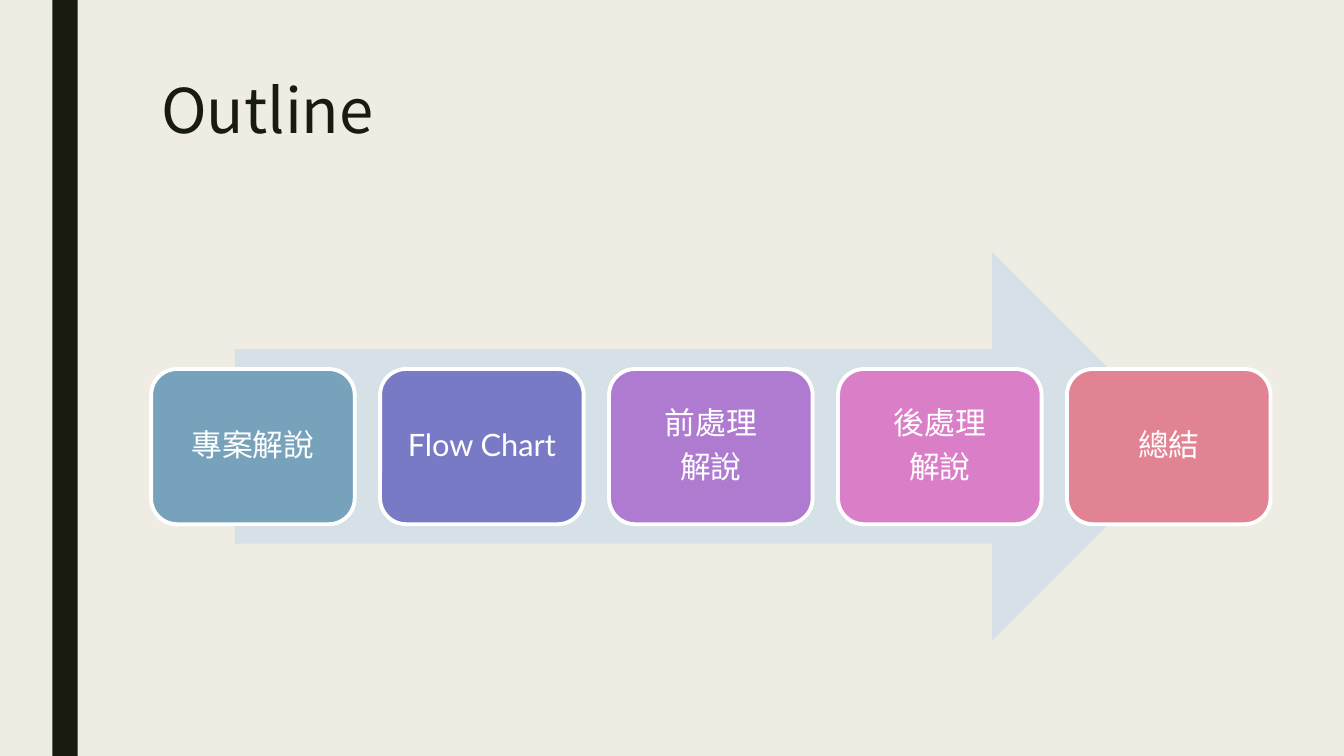
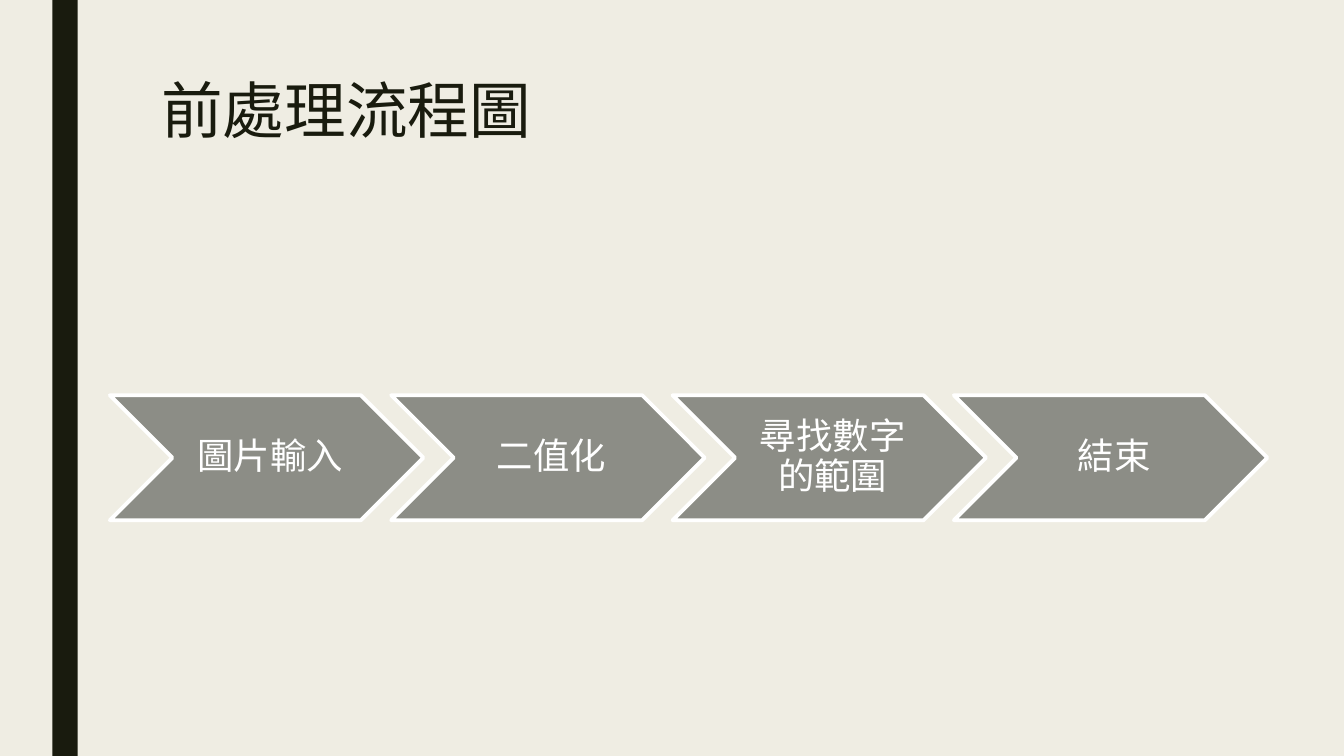
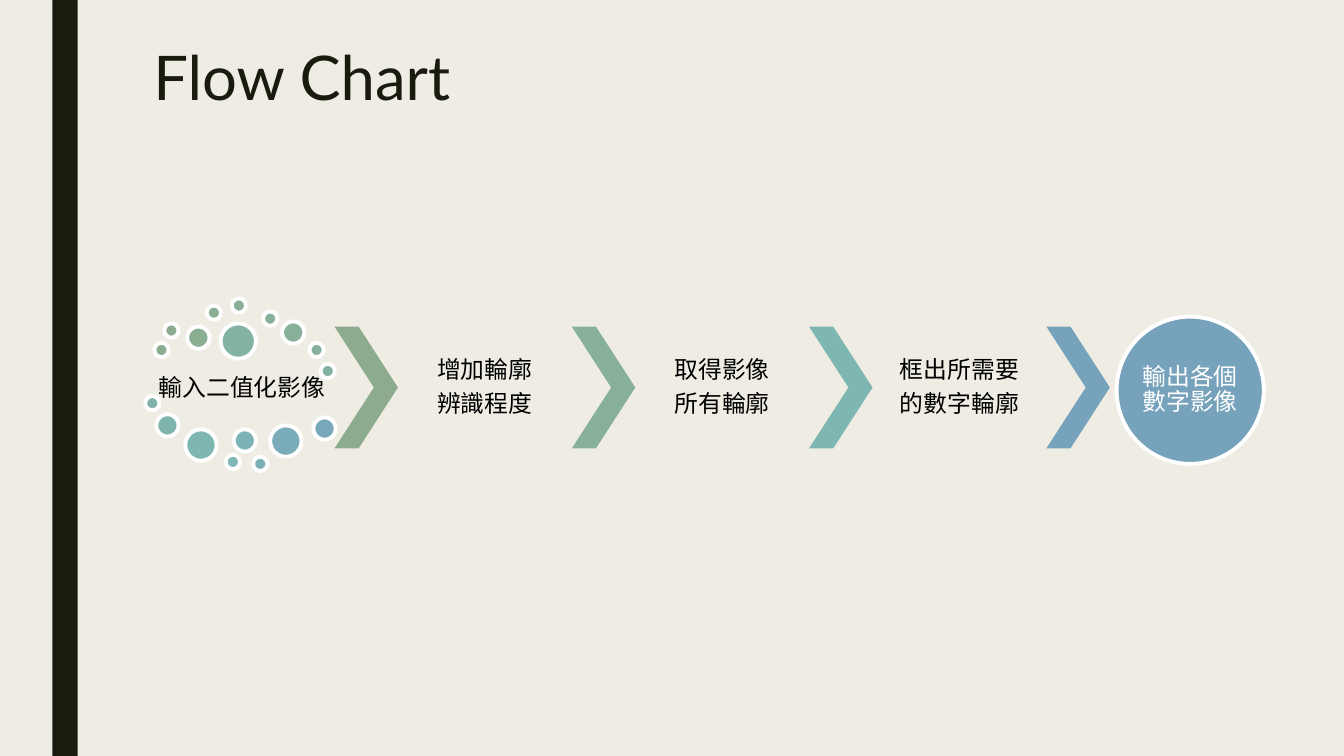
import pptx
import pptx.dml.color
import pptx.enum.shapes
import pptx.enum.text
import pptx.oxml.ns
import pptx.util
import lxml.etree
from dataclasses import dataclass

Cm = pptx.util.Cm
Pt = pptx.util.Pt
SHAPE = pptx.enum.shapes.MSO_SHAPE
ALIGN = pptx.enum.text.PP_ALIGN
ANCHOR = pptx.enum.text.MSO_ANCHOR


@dataclass(frozen=True)
class Theme:
    paper: str = "EFEDE3"
    ink: str = "191B0E"
    white: str = "FFFFFF"
    black: str = "000000"
    pale_blue: str = "D6E0E7"
    grey: str = "8C8D86"
    steel: str = "77A2BB"
    font: str = "Lato"
    cjk_font: str = "Noto Sans CJK SC"
    title_size: int = 44
    step_size: int = 26
    topic_size: int = 22
    label_size: int = 17
    outline: float = 2.75
    title_spacing: float = 0.89
    body_spacing: float = 0.9
    paragraph_gap: float = 0.35


THEME = Theme()

SLIDE_SIZE = (33.87, 19.05)
BAND = (1.32, 0, 0.64, 19.05)
TITLE_BOX = (3.81, 1.9, 26.67, 4.11)
FLOW_TITLE_BOX = (3.61, 1.09, 26.67, 4.11)

TOPICS = [
    (["專案解說"], THEME.steel),
    (["Flow Chart"], "797AC6"),
    (["前處理", "解說"], "AE7BD0"),
    (["後處理", "解說"], "DA7FC7"),
    (["總結"], "E28394"),
]

PREPROCESS_STEPS = ["圖片輸入", "二值化", "尋找數字的範圍", "結束"]

FLOW_INPUT = ["輸入二值化影像"]
FLOW_STAGES = [
    (["增加輪廓", "辨識程度"], "8DAB8E"),
    (["取得影像", "所有輪廓"], "86B09A"),
    (["框出所需要", "的數字輪廓"], "7EB6B1"),
    ([], THEME.steel),
]
FLOW_OUTPUT = ["輸出各個數字影像"]

DOT_SIZES = {"small": 0.36, "medium": 0.56, "large": 0.79, "largest": 0.89}
DOTS = [
    (3.89, 8.64, "small", "8DAB8E"),
    (4.14, 8.15, "small", "8CAC8F"),
    (4.72, 8.23, "medium", "8BAD91"),
    (5.21, 7.7, "small", "89AE93"),
    (5.84, 7.52, "small", "88AE95"),
    (6.63, 7.85, "small", "87AF97"),
    (7.11, 8.1, "medium", "86B09A"),
    (7.8, 8.64, "small", "85B19D"),
    (8.08, 9.17, "small", "83B2A1"),
    (5.56, 8.15, "largest", "82B3A4"),
    (3.66, 9.98, "small", "81B4A8"),
    (3.94, 10.44, "medium", "80B5AD"),
    (4.67, 10.82, "large", "7EB6B1"),
    (5.69, 11.46, "small", "7DB6B6"),
    (5.89, 10.82, "medium", "7CB3B7"),
    (6.38, 11.51, "small", "7BAFB8"),
    (6.81, 10.72, "large", "79ABB9"),
    (7.9, 10.52, "medium", "78A7BA"),
]


def rgb(color):
    return pptx.dml.color.RGBColor.from_string(color)


def write_run(paragraph, text, size, color, font):
    run = paragraph.add_run()
    run.text = text
    run.font.size = Pt(size)
    run.font.color.rgb = rgb(color)
    run.font.name = font
    east_asian = lxml.etree.SubElement(
        run._r.get_or_add_rPr(), pptx.oxml.ns.qn("a:ea"))
    east_asian.set("typeface", font)


def write_lines(frame, lines, size, color, insets):
    frame.word_wrap = True
    frame.vertical_anchor = ANCHOR.MIDDLE
    frame.margin_left, frame.margin_top, frame.margin_right, frame.margin_bottom = map(Cm, insets)
    for index, line in enumerate(lines):
        paragraph = frame.add_paragraph() if index else frame.paragraphs[0]
        paragraph.alignment = ALIGN.CENTER
        paragraph.line_spacing = THEME.body_spacing
        paragraph.space_after = Pt(round(THEME.paragraph_gap * size, 2))
        write_run(paragraph, line, size, color, THEME.font)


def add_figure(slide, kind, box, fill, outlined=False):
    figure = slide.shapes.add_shape(kind, *map(Cm, box))
    figure.shadow.inherit = False
    figure.fill.solid()
    figure.fill.fore_color.rgb = rgb(fill)
    if outlined:
        figure.line.color.rgb = rgb(THEME.white)
        figure.line.width = Pt(THEME.outline)
    else:
        figure.line.fill.background()
    return figure


def add_label(slide, box, lines):
    label = slide.shapes.add_textbox(*map(Cm, box))
    write_lines(label.text_frame, lines, THEME.label_size, THEME.black, (0.05,) * 4)


def start_deck():
    deck = pptx.Presentation()
    deck.slide_width, deck.slide_height = map(Cm, SLIDE_SIZE)
    background = deck.slide_master.background.fill
    background.solid()
    background.fore_color.rgb = rgb(THEME.paper)
    return deck


def add_titled_slide(deck, text, box=TITLE_BOX, font=THEME.font):
    slide = deck.slides.add_slide(deck.slide_layouts[5])
    title = slide.shapes.title
    title.left, title.top, title.width, title.height = map(Cm, box)
    frame = title.text_frame
    frame.word_wrap = True
    frame.auto_size = pptx.enum.text.MSO_AUTO_SIZE.NONE
    frame.vertical_anchor = ANCHOR.TOP
    paragraph = frame.paragraphs[0]
    paragraph.alignment = ALIGN.LEFT
    paragraph.line_spacing = THEME.title_spacing
    write_run(paragraph, text, THEME.title_size, THEME.ink, font)
    return slide


def move_band_to_layout(slide):
    band = add_figure(slide, SHAPE.RECTANGLE, BAND, THEME.ink)
    slide.slide_layout.shapes.element.insert(2, band.element)
    band.element.nvSpPr.cNvPr.set("id", "100")


def build_outline(deck):
    slide = add_titled_slide(deck, "Outline", font=THEME.cjk_font)
    move_band_to_layout(slide)
    add_figure(slide, SHAPE.RIGHT_ARROW, (5.92, 6.35, 23.98, 9.8), THEME.pale_blue)
    left, pitch = 3.81, 5.77
    for index, (lines, color) in enumerate(TOPICS):
        box = (left + index * pitch, 9.3, 5.13, 3.91)
        topic = add_figure(slide, SHAPE.ROUNDED_RECTANGLE, box, color, outlined=True)
        write_lines(topic.text_frame, lines, THEME.topic_size, THEME.white, (0.23,) * 4)


def build_preprocess(deck):
    slide = add_titled_slide(deck, "前處理流程圖")
    left, pitch = 2.77, 7.09
    for index, text in enumerate(PREPROCESS_STEPS):
        box = (left + index * pitch, 9.96, 7.9, 3.15)
        step = add_figure(slide, SHAPE.CHEVRON, box, THEME.grey, outlined=True)
        write_lines(step.text_frame, [text], THEME.step_size, THEME.white,
                    (0.28, 0.1, 0.1, 0.1))


def build_flow(deck):
    slide = add_titled_slide(deck, "Flow Chart", FLOW_TITLE_BOX)
    label_width, arrow_width = 4.38, 1.6
    left, top, height = 8.43, 8.23, 3.07
    add_label(slide, (3.91, 9.07, label_width, 1.45), FLOW_INPUT)
    for x, y, size, color in DOTS:
        diameter = DOT_SIZES[size]
        add_figure(slide, SHAPE.OVAL, (x, y, diameter, diameter), color, outlined=True)
    for index, (lines, color) in enumerate(FLOW_STAGES):
        x = left + index * (arrow_width + label_width)
        arrow = add_figure(slide, SHAPE.CHEVRON, (x, top, arrow_width, height), color)
        arrow.adjustments[0] = 0.62
        if lines:
            add_label(slide, (x + arrow_width, top, label_width, height), lines)
    output = add_figure(slide, SHAPE.OVAL, (28.14, 7.98, 3.71, 3.71),
                        THEME.steel, outlined=True)
    write_lines(output.text_frame, FLOW_OUTPUT, THEME.label_size, THEME.white, (0,) * 4)


def main():
    deck = start_deck()
    build_outline(deck)
    build_preprocess(deck)
    build_flow(deck)
    deck.save("out.pptx")


if __name__ == "__main__":
    main()
